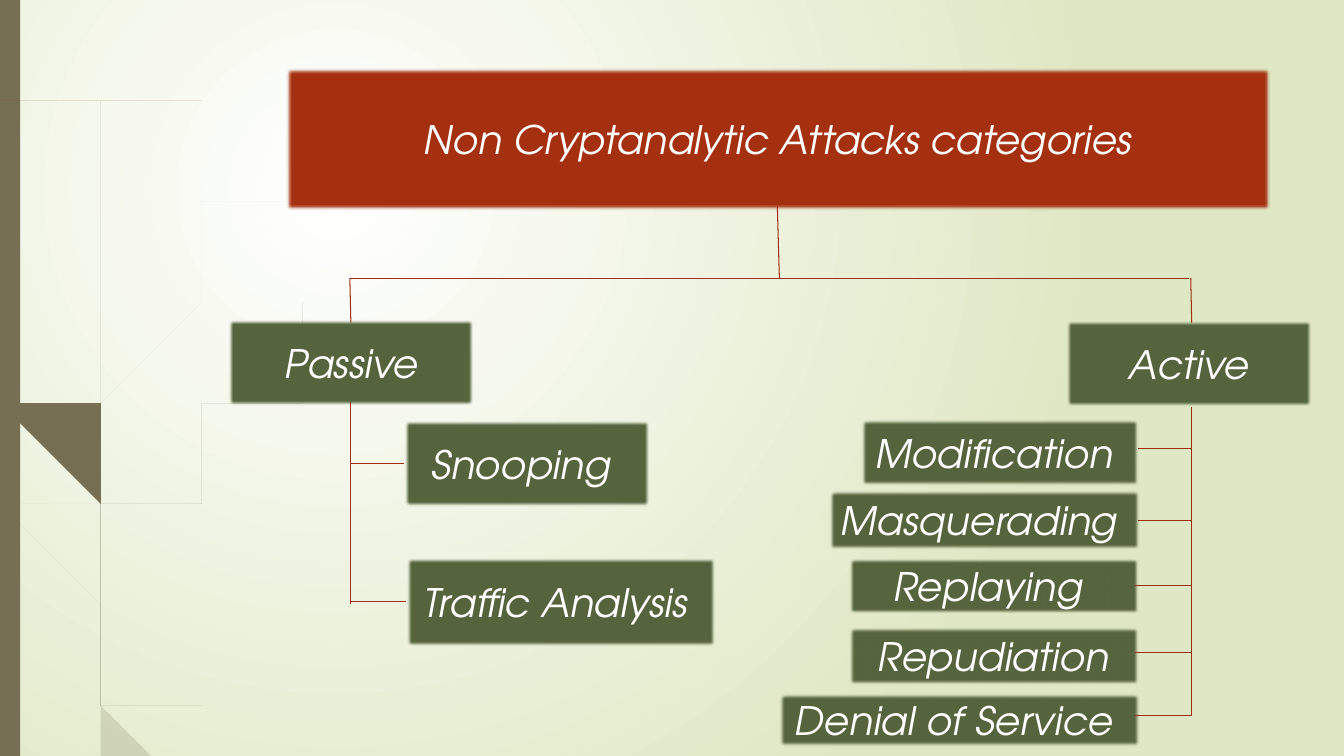
from lxml.etree import SubElement
from pptx import Presentation
from pptx.dml.color import RGBColor
from pptx.enum.shapes import MSO_CONNECTOR, MSO_SHAPE
from pptx.enum.text import MSO_ANCHOR, PP_ALIGN
from pptx.oxml.ns import qn
from pptx.util import Inches, Pt

RED, GREEN, BROWN = "A53010", "56653E", "766F54"


def color(hex_code):
    return RGBColor.from_string(hex_code)


def add_label(text, left, top, width, height, fill=GREEN, size=28, font="TeX Gyre Adventor"):
    """Add a soft-edged box with centred italic text."""
    box = slide.shapes.add_shape(
        MSO_SHAPE.RECTANGLE, Inches(left), Inches(top), Inches(width), Inches(height))
    box.shadow.inherit = False
    effects = box.element.spPr.find(qn("a:effectLst"))
    SubElement(effects, qn("a:softEdge"), rad="31750")
    box.fill.solid()
    box.fill.fore_color.rgb = color(fill)
    box.line.color.rgb = color("7A240C")
    box.line.width = Pt(1.25)
    frame = box.text_frame
    frame.word_wrap = True
    frame.vertical_anchor = MSO_ANCHOR.MIDDLE
    paragraph = frame.paragraphs[0]
    paragraph.alignment = PP_ALIGN.CENTER
    run = paragraph.add_run()
    run.text = text
    run.font.size = Pt(size)
    run.font.name = font
    run.font.italic = True
    run.font.color.rgb = color("FFFFFF")


presentation = Presentation()
presentation.slide_width = Inches(13.33)
presentation.slide_height = Inches(7.5)
slide = presentation.slides.add_slide(presentation.slide_layouts[6])

# Radial background, brightest at the upper left
backdrop = slide.background.fill
backdrop.gradient()
for stop, shade in zip(backdrop.gradient_stops, ("FFFFFF", "DFE8C4")):
    stop.color.rgb = color(shade)
gradient = slide.element.find(".//" + qn("a:gradFill"))
gradient.remove(gradient.find(qn("a:lin")))
radial = SubElement(gradient, qn("a:path"), path="circle")
SubElement(radial, qn("a:fillToRect"), l="50000", t="50000", r="100000", b="100000")

# Grass blades: opacity, then points down the middle from tip to root
blades = [
    (20, [(0, 2.9), (0.1, 3.47), (0.17, 3.8), (0.6, 5.21), (0.86, 5.98), (1.25, 6.93), (1.52, 7.5)]),
    (20, [(0.11, 3.5), (0.3, 4.7), (0.67, 6.2), (0.92, 6.88), (1.21, 7.5)]),
    (20, [(3.12, 1.53), (2.68, 1.97), (2.29, 2.45), (1.59, 3.48), (1.08, 4.61), (0.87, 5.84),
          (0.89, 6.46), (1, 6.99), (1.21, 7.5)]),
    (100, [(0.04, 0), (0.07, 1.1), (0.18, 2.33), (0.34, 3.55), (0.56, 4.67), (0.7, 5.56),
           (0.95, 6.58), (1.13, 7.08), (1.31, 7.49)]),
    (100, [(0.7, 1.41), (0.57, 2.45), (0.53, 3.49), (0.57, 4.5), (0.9, 5.91), (1.09, 6.45),
           (1.34, 7.07), (1.54, 7.49)]),
    (100, [(2.6, 3.44), (2.31, 3.74), (2.04, 4.06), (1.57, 4.75), (1.24, 5.52), (1.09, 6.32),
           (1.11, 6.7), (1.2, 7.13), (1.34, 7.49)]),
]
ROOT_WIDTH, CURVE_STEPS = 0.05, 3
for opacity, spine in blades:
    # Catmull-Rom curve through the spine, widening from tip to root
    padded = [spine[0], *spine, spine[-1]]
    curve = []
    for a, b, c, d in zip(padded, padded[1:], padded[2:], padded[3:]):
        for step in range(CURVE_STEPS):
            t = step / CURVE_STEPS
            curve.append([q + t * (r - p) / 2 + t * t * (2 * p - 5 * q + 4 * r - s) / 2
                          + t ** 3 * (3 * q - p - 3 * r + s) / 2
                          for p, q, r, s in zip(a, b, c, d)])
    curve.append(spine[-1])
    halves = [0.01 + (ROOT_WIDTH / 2 - 0.01) * i / len(curve) for i in range(len(curve))]
    left_side = [(x - half, y) for (x, y), half in zip(curve, halves)]
    right_side = [(x + half, y) for (x, y), half in zip(curve, halves)]
    builder = slide.shapes.build_freeform(*left_side[0], scale=Inches(1))
    builder.add_line_segments(left_side[1:] + right_side[::-1])
    blade = builder.convert_to_shape()
    blade.shadow.inherit = False
    blade.line.fill.background()
    blade.fill.solid()
    blade.fill.fore_color.rgb = color(BROWN)
    if opacity < 100:
        SubElement(blade.element.find(".//" + qn("a:srgbClr")), qn("a:alpha"), val=str(opacity * 1000))

# Left stripe and page marker
stripe = slide.shapes.add_shape(MSO_SHAPE.RECTANGLE, 0, 0, Inches(0.2), Inches(7.5))
marker_outline = slide.shapes.build_freeform(0, 0.78, scale=Inches(1))
marker_outline.add_line_segments(
    [(1.46, 0.78), (1.48, 0.79), (1.73, 1.04), (1.74, 1.06), (1.73, 1.08), (1.48, 1.33), (1.46, 1.34), (0, 1.33)])
marker = marker_outline.convert_to_shape()
for ornament, shade in ((stripe, BROWN), (marker, RED)):
    ornament.shadow.inherit = False
    ornament.line.fill.background()
    ornament.fill.solid()
    ornament.fill.fore_color.rgb = color(shade)

# Attack tree: boxes, then the lines that join them
add_label("Non Cryptanalytic Attacks categories", 2.84, 0.68, 9.75, 1.4, fill=RED)
for category in (
    ("Passive", 2.27, 3.17, 2.43, 0.86),
    ("Active", 10.58, 3.18, 2.43, 0.86),
    ("Snooping ", 4.01, 4.17, 2.43, 0.86),
    ("Traffic Analysis ", 4.03, 5.53, 3.07, 0.89),
    ("Modification ", 8.54, 4.16, 2.75, 0.66),
    ("Masquerading ", 8.23, 4.87, 3.07, 0.58),
    ("Replaying ", 8.42, 5.54, 2.87, 0.55),
    ("Repudiation", 8.42, 6.22, 2.87, 0.57),
    ("Denial of Service ", 7.73, 6.88, 3.57, 0.53),
):
    add_label(*category)

PASSIVE_X, ACTIVE_X, BAR_Y = 3.48, 11.82, 2.76
branches = [
    (7.71, 2.05, 7.73, BAR_Y), (3.47, BAR_Y, 11.79, BAR_Y),
    (3.47, BAR_Y, PASSIVE_X, 3.2), (11.81, BAR_Y, ACTIVE_X, 3.2),
    (PASSIVE_X, 3.99, PASSIVE_X, 5.99), (ACTIVE_X, 4.04, ACTIVE_X, 4.64), (ACTIVE_X, 4.64, ACTIVE_X, 7.1),
]
branches += [(PASSIVE_X, y, end, y) for end, y in ((4.01, 4.6), (4.03, 5.97))]
branches += [(start, y, ACTIVE_X, y)
             for start, y in ((11.29, 4.45), (11.29, 5.16), (11.26, 5.81), (11.26, 6.47), (11.26, 7.1))]
for ends in branches:
    branch = slide.shapes.add_connector(MSO_CONNECTOR.STRAIGHT, *(Inches(value) for value in ends))
    branch.line.color.rgb = color("9E2E0F")
    branch.line.width = Pt(0.75)
    SubElement(branch.element.spPr, qn("a:effectLst"))

presentation.save("out.pptx")
